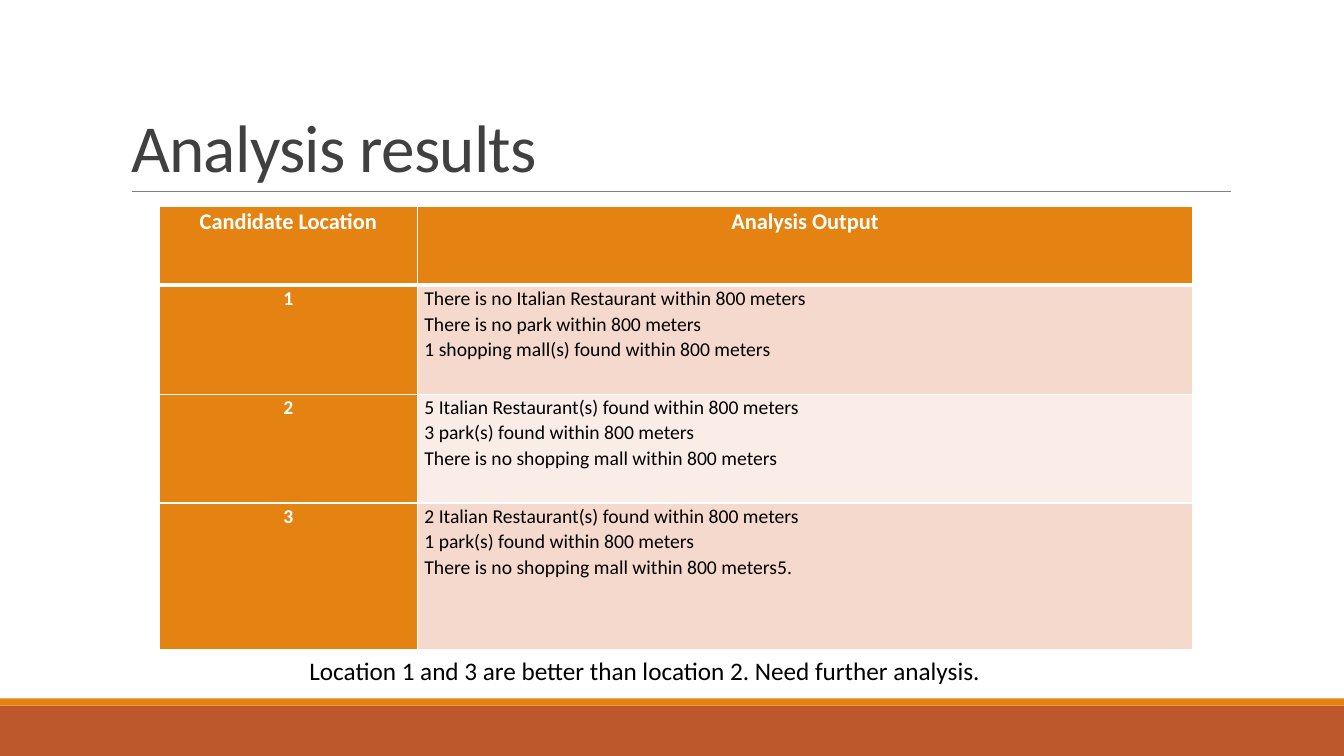
from lxml import etree
from pptx import Presentation
from pptx.dml.color import RGBColor
from pptx.enum.shapes import MSO_CONNECTOR as Connector, MSO_SHAPE as Shape
from pptx.enum.text import MSO_ANCHOR as Anchor, MSO_AUTO_SIZE as AutoSize, PP_ALIGN as Align
from pptx.oxml.ns import qn
from pptx.util import Inches, Pt

WHITE = RGBColor(0xFF, 0xFF, 0xFF)
BLACK = RGBColor(0, 0, 0)
GRAY = RGBColor(0x80, 0x80, 0x80)
DARK_GRAY = RGBColor(0x40, 0x40, 0x40)
ORANGE = RGBColor(0xE4, 0x83, 0x12)
RUST = RGBColor(0xBD, 0x58, 0x2C)
BAND_DARK = RGBColor(0xF5, 0xD9, 0xCC)
BAND_LIGHT = RGBColor(0xFA, 0xED, 0xE7)

SLIDE_WIDTH, SLIDE_HEIGHT = 13.33, 7.5
COLUMN_WIDTHS = [2.56, 7.69]
ROW_HEIGHTS = [0.78, 1.08, 1.08, 1.45]
HEADERS = ["Candidate Location", "Analysis Output"]
FINDINGS = [
    ["There is no Italian Restaurant within 800 meters",
     "There is no park within 800 meters",
     "1 shopping mall(s) found within 800 meters"],
    ["5 Italian Restaurant(s) found within 800 meters",
     "3 park(s) found within 800 meters",
     "There is no shopping mall within 800 meters"],
    ["2 Italian Restaurant(s) found within 800 meters",
     "1 park(s) found within 800 meters",
     "There is no shopping mall within 800 meters5."],
]


def set_values(target, values):
    for name, value in values.items():
        setattr(target, name, value)


def write_line(paragraph, text, size, color, bold=False):
    run = paragraph.add_run()
    run.text = text
    set_values(run.font, {"name": "Calibri", "size": Pt(size), "bold": bold})
    run.font.color.rgb = color
    return run


def add_footer_bands(slide, left, top, width, height):
    stripe = 0.07
    bands = [(top + stripe, height - stripe, RUST), (top, stripe, ORANGE)]
    for band_top, band_height, color in bands:
        band = slide.shapes.add_shape(Shape.RECTANGLE, Inches(left), Inches(band_top),
                                      Inches(width), Inches(band_height))
        band.shadow.inherit = False
        band.fill.solid()
        band.fill.fore_color.rgb = color
        band.line.fill.background()


def add_title(slide, left, top, width, height):
    # Rule under the title
    bottom = Inches(top + height)
    rule = slide.shapes.add_connector(Connector.STRAIGHT, Inches(left + 0.11), bottom,
                                      Inches(left + width + 0.01), bottom)
    rule.line.color.rgb = GRAY
    rule.line.width = Pt(0.5)
    etree.SubElement(rule._element.spPr, qn("a:effectLst"))

    # Title text
    title = slide.shapes.title
    set_values(title, {"left": Inches(left), "top": Inches(top),
                       "width": Inches(width), "height": Inches(height)})
    set_values(title.text_frame, {"vertical_anchor": Anchor.BOTTOM, "word_wrap": True,
                                  "auto_size": AutoSize.NONE})
    paragraph = title.text_frame.paragraphs[0]
    set_values(paragraph, {"alignment": Align.LEFT, "line_spacing": 0.85})
    run = write_line(paragraph, "Analysis results", 48, DARK_GRAY)
    run.font._element.set("spc", "-50")


def add_borders(cell, widths):
    properties = cell._tc.get_or_add_tcPr()
    for side, width in widths.items():
        line = etree.SubElement(properties, qn(f"a:ln{side}"), w=str(Pt(width)))
        fill = etree.SubElement(line, qn("a:solidFill"))
        etree.SubElement(fill, qn("a:srgbClr"), val=str(WHITE))


def fill_cell(cell, lines, color, size, text_color, bold, align, borders):
    set_values(cell, {"margin_left": Inches(0.07), "margin_right": Inches(0.07),
                      "margin_top": 0, "margin_bottom": 0})
    add_borders(cell, borders)
    cell.fill.solid()
    cell.fill.fore_color.rgb = color
    frame = cell.text_frame
    for index, text in enumerate(lines):
        paragraph = frame.add_paragraph() if index else frame.paragraphs[0]
        set_values(paragraph, {"alignment": align, "line_spacing": 1.07})
        write_line(paragraph, text, size, text_color, bold)


def add_results_table(slide, left, top, width, height):
    table = slide.shapes.add_table(len(ROW_HEIGHTS), len(COLUMN_WIDTHS), Inches(left),
                                   Inches(top), Inches(width), Inches(height)).table
    for column, column_width in zip(table.columns, COLUMN_WIDTHS):
        column.width = Inches(column_width)
    for row, row_height in zip(table.rows, ROW_HEIGHTS):
        row.height = Inches(row_height)

    # Header row, with a thick line below
    for column, header in enumerate(HEADERS):
        fill_cell(table.cell(0, column), [header], ORANGE, 16, WHITE, True, Align.CENTER,
                  {"L": 1, "R": 1, "T": 1, "B": 3})

    # One banded row per location
    for number, lines in enumerate(FINDINGS, start=1):
        borders = {"L": 1, "R": 1, "T": 3 if number == 1 else 1, "B": 1}
        band = BAND_DARK if number % 2 else BAND_LIGHT
        fill_cell(table.cell(number, 0), [str(number)], ORANGE, 14, WHITE, True,
                  Align.CENTER, borders)
        fill_cell(table.cell(number, 1), lines, band, 14, BLACK, False, Align.LEFT, borders)


def add_conclusion(slide, left, top, width, height):
    box = slide.shapes.add_textbox(Inches(left), Inches(top), Inches(width), Inches(height))
    set_values(box.text_frame, {"word_wrap": True, "auto_size": AutoSize.SHAPE_TO_FIT_TEXT})
    write_line(box.text_frame.paragraphs[0],
               "Location 1 and 3 are better than location 2. Need further analysis.", 18, BLACK)


def main():
    presentation = Presentation()
    presentation.slide_width = Inches(SLIDE_WIDTH)
    presentation.slide_height = Inches(SLIDE_HEIGHT)
    slide = presentation.slides.add_slide(presentation.slide_layouts[5])
    add_footer_bands(slide, 0, 6.93, SLIDE_WIDTH, 0.57)
    add_title(slide, 1.2, 0.31, 11, 1.59)
    add_results_table(slide, 1.58, 2.05, sum(COLUMN_WIDTHS), sum(ROW_HEIGHTS))
    add_conclusion(slide, 2.97, 6.45, 8.79, 0.4)
    presentation.save("out.pptx")


if __name__ == "__main__":
    main()
